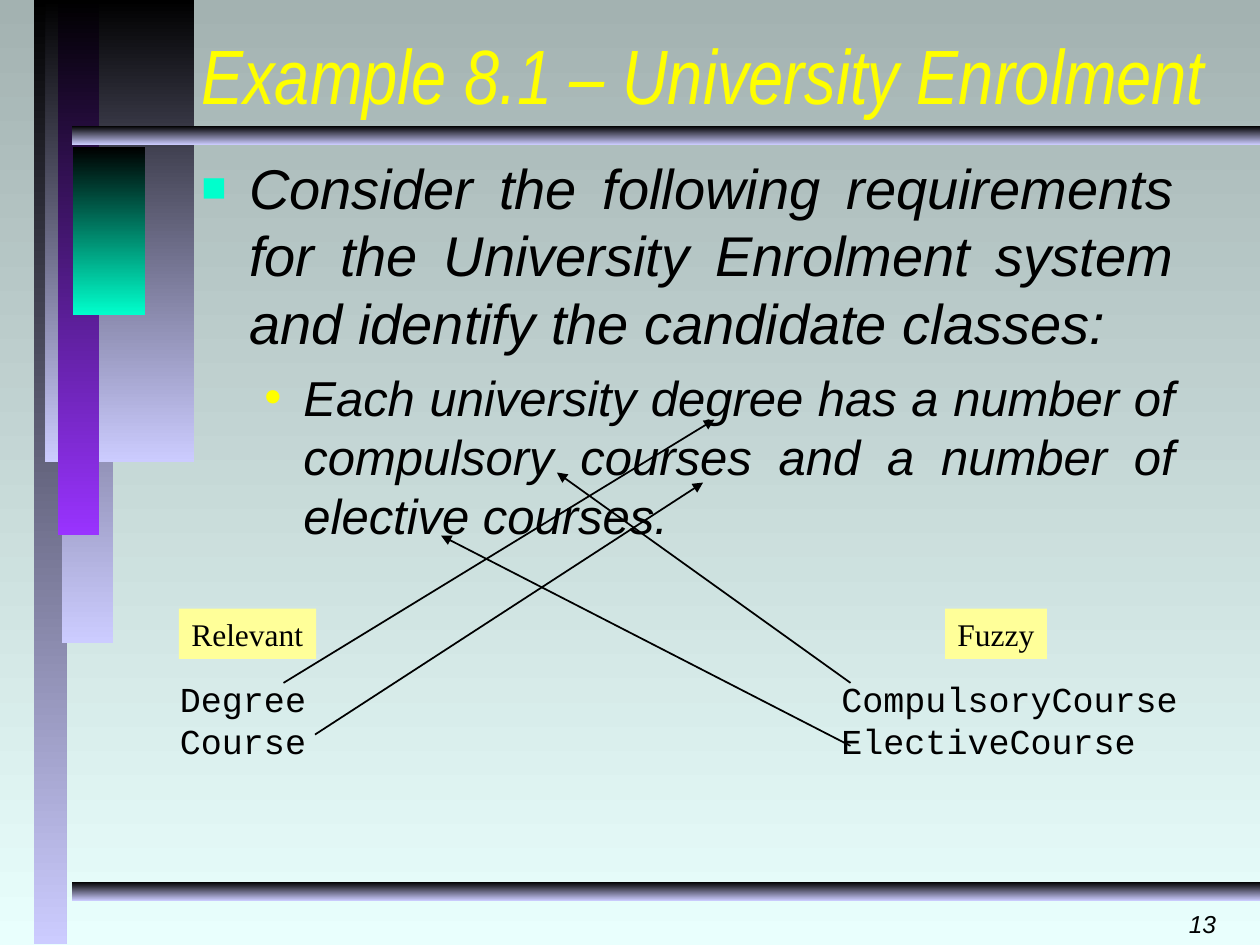
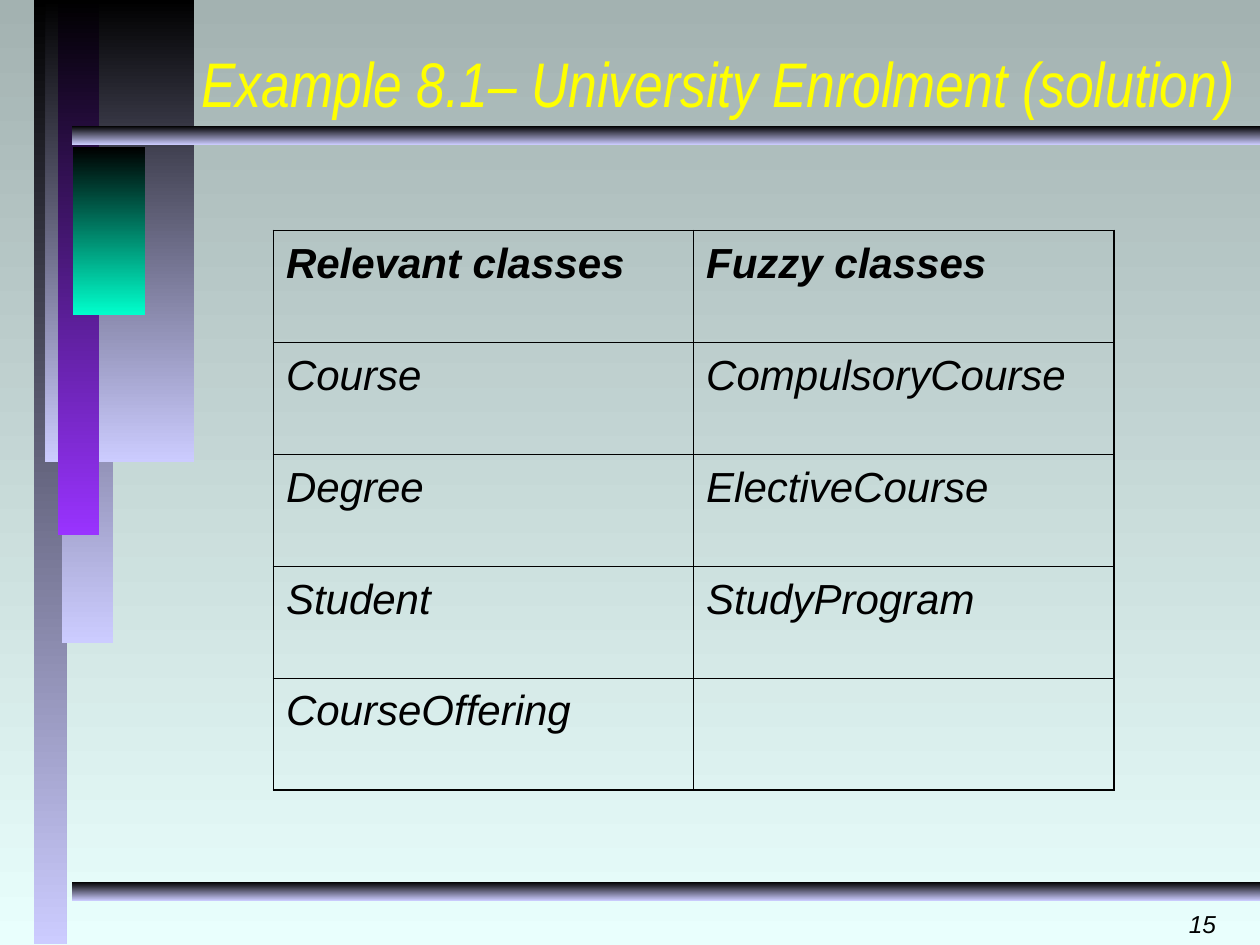
import pptx
import pptx.dml.color
import pptx.enum.shapes
import pptx.enum.text
import pptx.oxml
import pptx.oxml.ns
import pptx.util
from lxml import etree
from pptx.util import Inches

COLOURS = {
    "black": "000000", "lilac": "CCCCFF", "violet": "9933FF", "mint": "00FFCC",
    "yellow": "FFFF00", "label": "FFFF99", "sky_top": "A3B2B1", "sky_bottom": "E9FFFD",
}
ALIGN = pptx.enum.text.PP_ALIGN
ANCHOR = pptx.enum.text.MSO_ANCHOR

# Shared decoration: (left, top, width, height), colour at the bottom of the fade
BANDS = [
    ((0.27, 0, 0.26, 7.49), "lilac"),
    ((0.49, 0, 0.41, 5.1), "lilac"),
    ((0.36, 0, 1.18, 3.67), "lilac"),
    ((0.46, 0, 0.33, 4.25), "violet"),
    ((0.58, 1.17, 0.57, 1.33), "mint"),
    ((0.57, 1, 9.43, 0.15), "lilac"),
    ((0.57, 7, 9.43, 0.15), "lilac"),
]

# Slide content
EXERCISE = {"title": "Example 8.1 – University Enrolment", "size": 44, "number": 13}
SOLUTION = {"title": "Example 8.1– University Enrolment (solution)", "size": 36, "number": 15}

# Text, size, indent, hanging, space before, bullet, bullet colour, bullet percent
REQUIREMENTS = [
    ("Consider the following requirements for the University Enrolment system "
     "and identify the candidate classes:", 32, 0.38, 0.38, 0, "■", "mint", 75),
    ("Each university degree has a number of compulsory courses and a number of "
     "elective courses.", 28, 0.81, 0.31, 7, "•", "yellow", 100),
]
LABELS = [("Relevant", (1.42, 4.83, 1.09, 0.4)), ("Fuzzy", (7.5, 4.83, 0.81, 0.4))]
CANDIDATES = [
    (["Degree", "Course"], (1.33, 5.33, 1.2, 0.77)),
    (["CompulsoryCourse", "ElectiveCourse"], (6.58, 5.33, 2.87, 0.77)),
]
# Arrows from each class to the words it comes from
ARROWS = [
    ((2.25, 5.42), (5.67, 3.33)),
    ((2.5, 5.83), (5.58, 3.83)),
    ((6.75, 5.42), (4.42, 3.75)),
    ((6.75, 5.92), (3.5, 4.25)),
]
CLASSES = [
    ("Relevant classes", "Fuzzy classes"),
    ("Course", "CompulsoryCourse"),
    ("Degree", "ElectiveCourse"),
    ("Student", "StudyProgram"),
    ("CourseOffering", ""),
]
TABLE_AREA = (2.17, 1.83, 6.67, 4.44)
OUTER_LINE, INNER_LINE = 1.08, 0.45


def rgb(name):
    return pptx.dml.color.RGBColor.from_string(COLOURS[name])


def add_xml(parent, tag, **attributes):
    return etree.SubElement(parent, pptx.oxml.ns.qn(tag), attributes)


def fade(fill, top, bottom):
    fill.gradient()
    fill.gradient_angle = 270
    for stop, name, position in zip(fill.gradient_stops, (top, bottom), (0, 1)):
        stop.color.rgb = rgb(name)
        stop.position = position


def style(para, size, font="Arial", colour="black", italic=True, bold=False):
    para.line_spacing = pptx.util.Pt(size * 1.2)
    para.font.size = pptx.util.Pt(size)
    para.font.name = font
    para.font.color.rgb = rgb(colour)
    para.font.italic = italic
    para.font.bold = bold


def add_text(page, area, lines, size, wrap=True, anchor=ANCHOR.TOP, align=ALIGN.LEFT, **look):
    box = page.shapes.add_textbox(*map(Inches, area))
    frame = box.text_frame
    frame.word_wrap = wrap
    frame.vertical_anchor = anchor
    frame.text = "\n".join(lines)
    for para in frame.paragraphs:
        para.alignment = align
        style(para, size, **look)
    return box


def add_page(deck, content):
    """Blank page with the shared background, bands, title and number."""
    page = deck.slides.add_slide(deck.slide_layouts[6])
    fade(page.background.fill, "sky_top", "sky_bottom")
    for area, colour in BANDS:
        band = page.shapes.add_shape(
            pptx.enum.shapes.MSO_SHAPE.RECTANGLE, *map(Inches, area))
        band.shadow.inherit = False
        band.line.fill.background()
        fade(band.fill, "black", colour)
    add_text(page, (7.67, 7.17, 2.08, 0.33), [str(content["number"])], 14,
             anchor=ANCHOR.MIDDLE, align=ALIGN.RIGHT)
    add_text(page, (1.5, 0, 8.5, 1), [content["title"]], content["size"],
             anchor=ANCHOR.BOTTOM, font="Arial Narrow", colour="yellow")
    return page


def add_requirements(page):
    box = page.shapes.add_textbox(*map(Inches, (1.5, 1.17, 7.92, 3.42)))
    frame = box.text_frame
    frame.word_wrap = True
    frame.text = "\n".join(row[0] for row in REQUIREMENTS)
    for para, row in zip(frame.paragraphs, REQUIREMENTS):
        _, size, indent, hanging, before, bullet, colour, percent = row
        para.alignment = ALIGN.JUSTIFY
        para.space_before = pptx.util.Pt(before)
        para.line_spacing = pptx.util.Pt(size * 1.2)
        settings = para._p.get_or_add_pPr()
        settings.set("marL", str(Inches(indent)))
        settings.set("indent", str(-Inches(hanging)))
        add_xml(add_xml(settings, "a:buClr"), "a:srgbClr", val=COLOURS[colour])
        add_xml(settings, "a:buSzPct", val=str(percent * 1000))
        add_xml(settings, "a:buFont", typeface="Arial")
        add_xml(settings, "a:buChar", char=bullet)
        style(para, size)


def add_arrow(page, start, end):
    arrow = page.shapes.add_connector(
        pptx.enum.shapes.MSO_CONNECTOR.STRAIGHT, *map(Inches, start + end))
    arrow.line.color.rgb = rgb("black")
    arrow.line.width = pptx.util.Pt(1)
    add_xml(arrow.line._get_or_add_ln(), "a:tailEnd", type="triangle")
    add_xml(arrow._element.spPr, "a:effectLst")


def add_border(cell, side, width):
    line = add_xml(cell._tc.get_or_add_tcPr(), "a:" + side, w=str(pptx.util.Pt(width)))
    add_xml(add_xml(line, "a:solidFill"), "a:srgbClr", val=COLOURS["black"])


def add_class_table(page):
    rows, columns = len(CLASSES), len(CLASSES[0])
    table = page.shapes.add_table(rows, columns, *map(Inches, TABLE_AREA)).table
    table.first_row = table.horz_banding = False
    for row, names in enumerate(CLASSES):
        for column, name in enumerate(names):
            cell = table.cell(row, column)
            cell.text = name
            style(cell.text_frame.paragraphs[0], 24, bold=row == 0)
            on_edge = {"lnL": column == 0, "lnR": column == columns - 1,
                       "lnT": row == 0, "lnB": row == rows - 1}
            for side, outer in on_edge.items():
                add_border(cell, side, OUTER_LINE if outer else INNER_LINE)
            cell.fill.background()


def main():
    deck = pptx.Presentation()
    deck.slide_width, deck.slide_height = Inches(10), Inches(7.5)

    # Exercise: requirements traced to candidate classes
    page = add_page(deck, EXERCISE)
    add_requirements(page)
    for names, area in CANDIDATES:
        add_text(page, area, names, 20, wrap=False, font="Courier New", italic=False)
    for start, end in ARROWS:
        add_arrow(page, start, end)
    for label, area in LABELS:
        box = add_text(page, area, [label], 18, wrap=False,
                       font="Times New Roman", italic=False)
        box.fill.solid()
        box.fill.fore_color.rgb = rgb("label")

    # Solution: table of classes
    add_class_table(add_page(deck, SOLUTION))

    deck.save("out.pptx")


if __name__ == "__main__":
    main()
